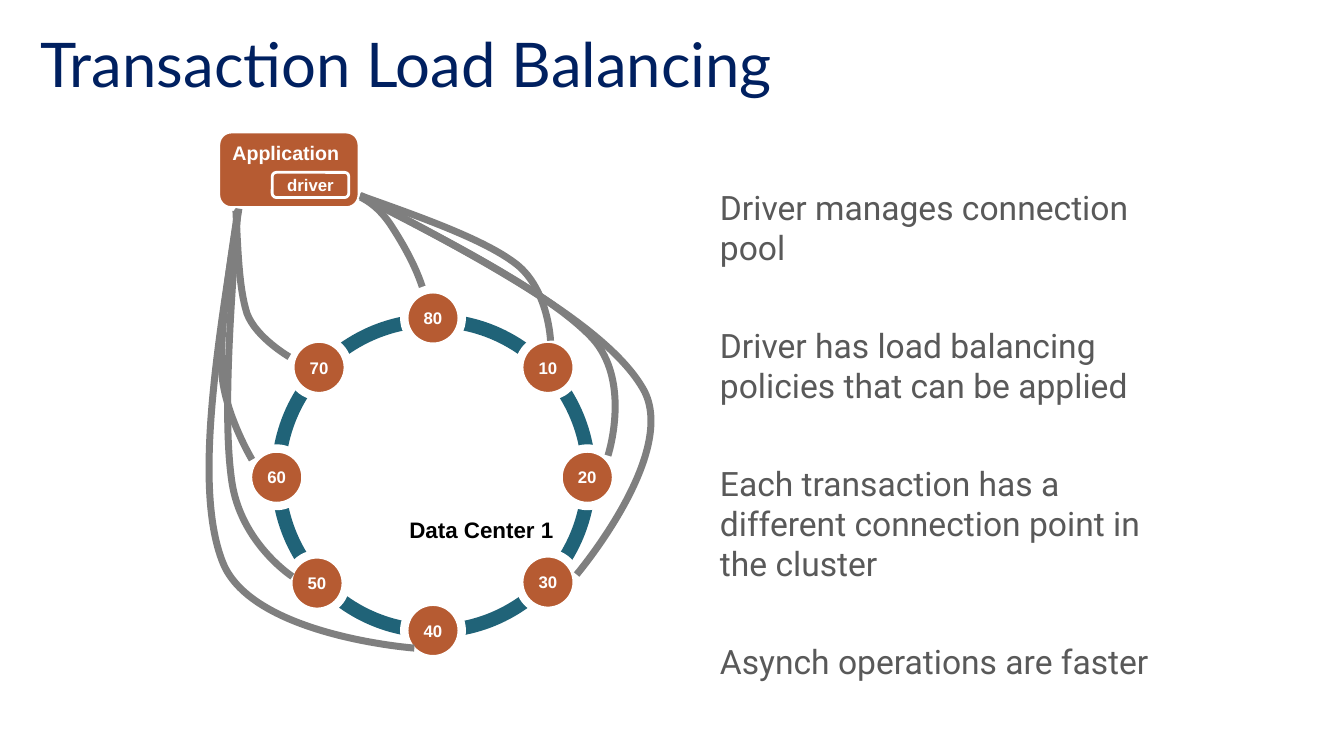
from lxml import etree
from pptx import Presentation, util as u
from pptx.dml.color import RGBColor
from pptx.enum import shapes, text
from pptx.oxml.ns import qn

PX = 9144  # 100 px to the inch
THEME = {
    "navy": "002060", "body": "595959", "rust": "B65B32", "teal": "206378",
    "link": "7F7F7F", "white": "FFFFFF", "black": "000000",
    "title_size": 44, "body_size": 24, "place_size": 16, "app_size": 14, "node_size": 12,
}
MS = shapes.MSO_SHAPE
TOP, MIDDLE = text.MSO_ANCHOR.TOP, text.MSO_ANCHOR.MIDDLE
LEFT, CENTER = text.PP_ALIGN.LEFT, text.PP_ALIGN.CENTER

prs = Presentation()
prs.slide_width, prs.slide_height = 1333 * PX, 750 * PX
s = prs.slides.add_slide(prs.slide_layouts[6])


def write(sp, lines, font, size, color, bold=False, align=LEFT, anchor=TOP,
          inset=(10, 5), wrap=True, gap=0):
    tf = sp.text_frame
    tf.word_wrap, tf.vertical_anchor = wrap, anchor
    tf.margin_left = tf.margin_right = inset[0] * PX
    tf.margin_top = tf.margin_bottom = inset[1] * PX
    for i, line in enumerate(lines):
        p = tf.paragraphs[0] if i == 0 else tf.add_paragraph()
        p.alignment = align
        if i:
            p.space_before = u.Pt(gap)
        r = p.add_run()
        r.text = line
        r.font.name, r.font.size, r.font.bold = font, u.Pt(THEME[size]), bold
        r.font.color.rgb = RGBColor.from_string(THEME[color])


def style(sp, fill, line, width):
    sp.shadow.inherit = False
    if fill:
        sp.fill.solid()
        sp.fill.fore_color.rgb = RGBColor.from_string(THEME[fill])
    else:
        sp.fill.background()
    sp.line.color.rgb = RGBColor.from_string(THEME[line])
    sp.line.width = u.Pt(width)


# Title
sp = s.shapes.add_textbox(30 * PX, 21 * PX, 825 * PX, 54 * PX)
write(sp, ["Transaction Load Balancing"], "Lato", "title_size", "navy")

# Points about the driver
points = [
    "Driver manages connection pool",
    "Driver has load balancing policies that can be applied",
    "Each transaction has a different connection point in the cluster",
    "Asynch operations are faster",
]
sp = s.shapes.add_textbox(714 * PX, 185 * PX, 455 * PX, 478 * PX)
write(sp, points, "Roboto", "body_size", "body", inset=(0, 0), gap=41)

# Application box
app = s.shapes.add_shape(MS.ROUNDED_RECTANGLE, 217 * PX, 131 * PX, 139 * PX, 75 * PX)
style(app, "rust", "white", 2)
write(app, ["Application"], "Arial", "app_size", "white", bold=True)

# Cluster name and ring
sp = s.shapes.add_textbox(398 * PX, 508 * PX, 168 * PX, 40 * PX)
write(sp, ["Data Center 1"], "Arial", "place_size", "black", bold=True, inset=(8, 4))

sp = s.shapes.add_shape(MS.OVAL, 276 * PX, 318 * PX, 308 * PX, 308 * PX)
style(sp, None, "teal", 10)

# Nodes on the ring
nodes = {"80": (401, 287), "10": (515, 336), "30": (515, 549), "50": (286, 550),
         "70": (288, 336), "60": (246, 445), "40": (401, 597), "20": (554, 445)}
for label, (x, y) in nodes.items():
    sp = s.shapes.add_shape(MS.OVAL, x * PX, y * PX, 57 * PX, 57 * PX)
    style(sp, "rust", "white", 6)
    write(sp, [label], "Arial", "node_size", "white", bold=True, align=CENTER,
          anchor=MIDDLE, wrap=False)

# Driver inside the application
sp = s.shapes.add_shape(MS.ROUNDED_RECTANGLE, 270 * PX, 171 * PX, 76 * PX, 25 * PX)
style(sp, "rust", "white", 2)
write(sp, ["driver"], "Arial", "node_size", "white", bold=True, align=CENTER, anchor=MIDDLE)

# Links from the driver to nodes 80, 10, 20, 30, 40, 50, 60, 70:
# a start point, then two Bezier segments of three points each
links = [
    [(329, 191), (329, 191), (363, 183), (390, 227), (417, 269), (421, 293), (421, 293)],
    [(357, 194), (419, 216), (481, 238), (512, 262), (544, 287), (546, 338), (546, 338)],
    [(358, 195), (452, 243), (546, 292), (587, 335), (627, 378), (603, 452), (603, 452)],
    [(358, 194), (480, 258), (602, 323), (638, 386), (674, 449), (572, 570), (572, 570)],
    [(237, 207), (215, 346), (192, 485), (221, 558), (250, 631), (411, 643), (411, 643)],
    [(236, 208), (228, 313), (221, 417), (230, 478), (239, 539), (290, 572), (290, 572)],
    [(236, 209), (227, 269), (218, 328), (220, 370), (223, 411), (250, 456), (250, 456)],
    [(234, 209), (236, 248), (237, 286), (245, 311), (254, 335), (287, 354), (287, 354)],
]
for i, link in enumerate(links):
    start, middle, end = [(x * PX, y * PX) for x, y in link[::3]]
    fb = s.shapes.build_freeform(*start)
    fb.add_line_segments([middle, end], close=False)
    sp = fb.convert_to_shape()
    style(sp, None, "link", 5)
    # Turn each straight segment into a curve
    for k, segment in zip((1, 4), list(sp._element.iter(qn("a:lnTo")))):
        segment.tag = qn("a:cubicBezTo")
        segment.remove(segment[0])
        for x, y in link[k:k + 3]:
            etree.SubElement(segment, qn("a:pt"),
                             x=str(x * PX - sp.left), y=str(y * PX - sp.top))
    if i == 0:  # this link starts behind the application box
        app._element.addprevious(sp._element)

prs.save("out.pptx")
